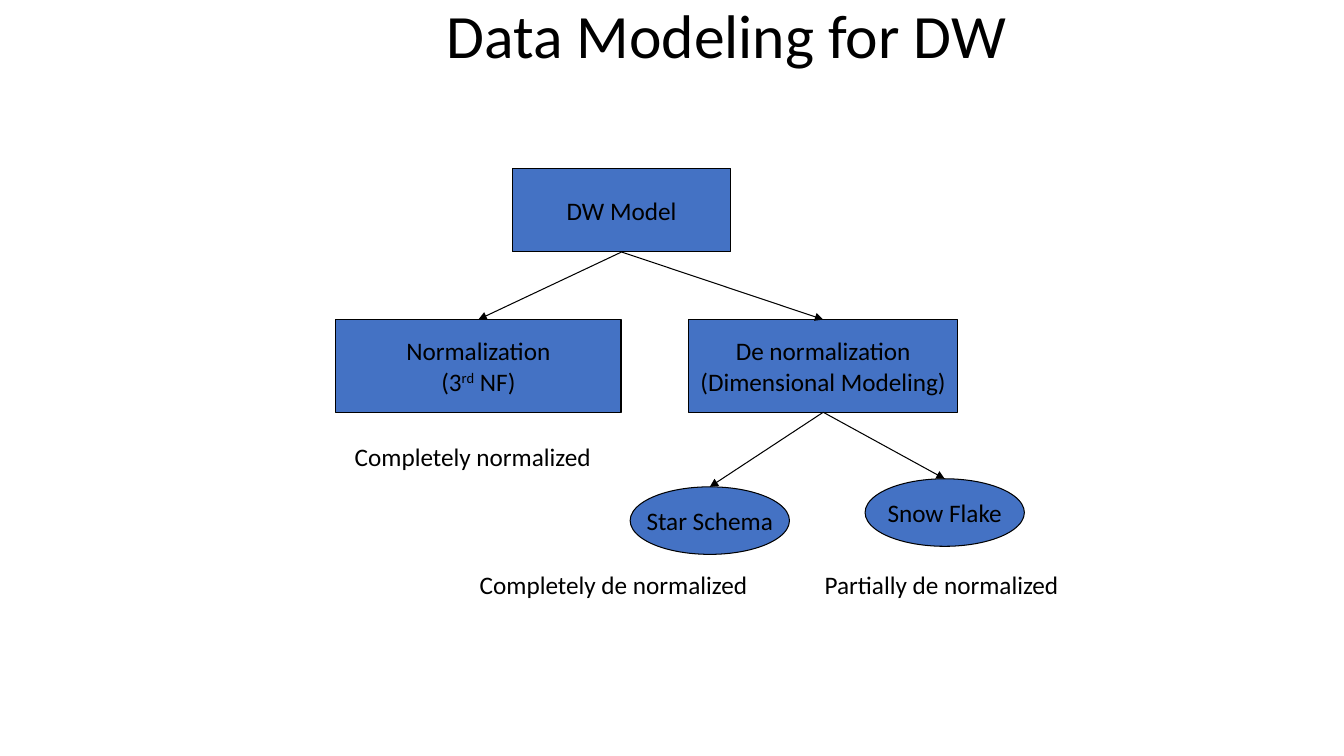
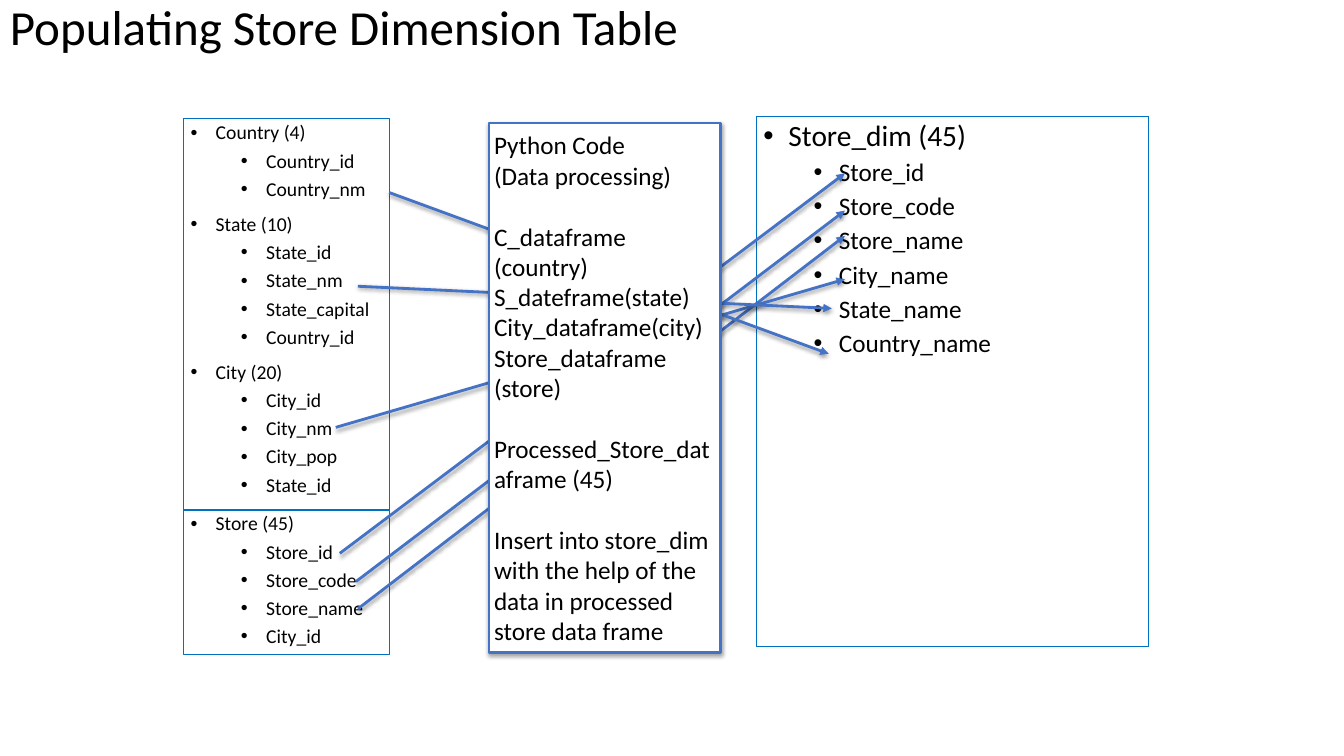
"""Build two slides on data warehouse modeling and store dimension loading."""
from lxml import etree
from pptx import Presentation, util as u
from pptx.dml.color import RGBColor
from pptx.enum import shapes, text
from pptx.oxml.ns import qn

PX = 9144
FONT = "Calibri"
C = {"ink": "000000", "blue": "4472C4", "frame": "0070C0", "paper": "FFFFFF"}
RECT, OVAL = shapes.MSO_SHAPE.RECTANGLE, shapes.MSO_SHAPE.OVAL


def add_text(s, kind, box, paras, size=18, fill=None, line=None, width=0.75):
    """Add a text box, or a preset shape when a kind is given."""
    x, y, w, h = (v * PX for v in box)
    if kind is None:
        sp = s.shapes.add_textbox(x, y, w, h)
    else:
        sp = s.shapes.add_shape(kind, x, y, w, h)
        sp.shadow.inherit = False
        sp.line.color.rgb = RGBColor.from_string(C[line])
        sp.line.width = u.Pt(width)
        if fill:
            sp.fill.solid()
            sp.fill.fore_color.rgb = RGBColor.from_string(C[fill])
        else:
            sp.fill.background()
    tf = sp.text_frame
    tf.word_wrap = False
    tf.vertical_anchor = text.MSO_ANCHOR.MIDDLE if fill else text.MSO_ANCHOR.TOP
    tf.text = "\n".join(paras)
    for p in tf.paragraphs:
        p.alignment = text.PP_ALIGN.CENTER if fill else text.PP_ALIGN.LEFT
        for r in p.runs:
            r.font.name, r.font.size = FONT, u.Pt(size)
            r.font.color.rgb = RGBColor.from_string(C["ink"])
    return sp


def add_arrow(s, start, end, color, width):
    """Add an arrow between two points."""
    pts = [v * PX for v in (*start, *end)]
    cn = s.shapes.add_connector(shapes.MSO_CONNECTOR.STRAIGHT, *pts)
    cn.line.color.rgb = RGBColor.from_string(C[color])
    cn.line.width = u.Pt(width)
    etree.SubElement(cn.line._get_or_add_ln(), qn("a:tailEnd"), type="triangle")
    etree.SubElement(cn._element.spPr, qn("a:effectLst"))
    return cn


prs = Presentation()
prs.slide_width, prs.slide_height = 1333 * PX, 750 * PX
slides = []
for title, box, size in [
    ("Data Modeling for DW", (433, 0, 658, 83), 44),
    ("Populating Store Dimension Table", (0, -2, 1333, 89), 35),
]:
    s = prs.slides.add_slide(prs.slide_layouts[6])
    sp = add_text(s, None, box, [title], size)
    sp.text_frame.paragraphs[0].line_spacing = 0.9
    slides.append(s)
tree, mapping = slides

nodes = {}
for key, kind, box, paras in [
    ("model", RECT, (508, 167, 217, 83), ["DW Model"]),
    ("normal", RECT, (333, 317, 283, 92), ["Normalization", "(3"]),
    ("denormal", RECT, (683, 317, 267, 92),
     ["De normalization", "(Dimensional Modeling)"]),
    ("star", OVAL, (625, 483, 158, 67), ["Star Schema"]),
    ("snow", OVAL, (858, 475, 158, 67), ["Snow Flake"]),
]:
    nodes[key] = add_text(tree, kind, box, paras, fill="blue", line="ink")

p = nodes["normal"].text_frame.paragraphs[1]
for part, base in [("rd", "30000"), (" NF)", "0")]:
    r = p.add_run()
    r.text = part
    r.font.name, r.font.size = FONT, u.Pt(18)
    r.font.color.rgb = RGBColor.from_string(C["ink"])
    r.font._element.set("baseline", base)

for parent, child in [("denormal", "star"), ("denormal", "snow"),
                      ("model", "normal"), ("model", "denormal")]:
    cn = add_arrow(tree, (0, 0), (0, 0), "ink", 0.75)
    cn.begin_connect(nodes[parent], 2)
    cn.end_connect(nodes[child], 0)

for label, box in [
    ("Completely normalized", (342, 433, 257, 40)),
    ("Completely de normalized", (466, 560, 296, 40)),
    ("Partially de normalized", (808, 560, 255, 40)),
]:
    add_text(tree, None, box, [label])

for box, head_size, size, groups in [
    ((182, 118, 204, 388), 14, 14, {
        "Country (4)": ["Country_id", "Country_nm"],
        "State (10)": ["State_id", "State_nm", "State_capital", "Country_id"],
        "City (20)": ["City_id", "City_nm", "City_pop", "State_id"]}),
    ((182, 506, 204, 143), 14, 14, {
        "Store (45)": ["Store_id", "Store_code", "Store_name", "City_id"]}),
    ((750, 116, 389, 525), 21, 18, {
        "Store_dim (45)": ["Store_id", "Store_code", "Store_name",
                           "City_name", "State_name", "Country_name"]}),
]:
    paras = [t for head, fields in groups.items() for t in (head, *fields)]
    sp = add_text(mapping, RECT, box, paras, size, line="frame")
    tf = sp.text_frame
    tf.word_wrap = True
    tf.margin_left = tf.margin_right = 7 * PX
    tf.margin_top = tf.margin_bottom = 4 * PX
    for i, p in enumerate(tf.paragraphs):
        head = p.text in groups
        pPr = p._p.get_or_add_pPr()
        pPr.set("marL", str((25 if head else 75) * PX))
        pPr.set("indent", str(-25 * PX))
        etree.SubElement(pPr, qn("a:buFont"), typeface="Arial")
        etree.SubElement(pPr, qn("a:buChar"), char="•")
        p.level = 0 if head else 1
        p.line_spacing = 0.9
        p.space_before = u.Pt(0 if i == 0 else 10 if head else 5)
        if head:
            p.runs[0].font.size = u.Pt(head_size)

shaded = []
for start, end in [
    ((337, 549), (838, 172)), ((353, 577), (838, 209)),
    ((355, 604), (838, 234)), ((333, 424), (838, 277)),
    ((355, 284), (825, 306)), ((386, 191), (822, 351)),
]:
    shaded.append((add_arrow(mapping, start, end, "blue", 2), 38, 1.6))

steps = ["Python Code", "(Data processing)", "C_dataframe (country)",
         "S_dateframe(state)", "City_dataframe(city)", "Store_dataframe (store)",
         "Processed_Store_dataframe (45)",
         "Insert into store_dim with the help of the data in processed store data frame"]
code = add_text(mapping, RECT, (485, 122, 230, 525), steps,
                fill="paper", line="blue", width=2)
tf = code.text_frame
tf.word_wrap = True
tf.margin_left = tf.margin_right = tf.margin_top = tf.margin_bottom = 5 * PX
for i, p in enumerate(tf.paragraphs):
    p.alignment = text.PP_ALIGN.LEFT
    if i in (2, 6, 7):
        p.space_before = u.Pt(22)
shaded.append((code, 35, 1.8))

for sp, alpha, dist in shaded:
    effects = sp._element.spPr.find(qn("a:effectLst"))
    shadow = etree.SubElement(effects, qn("a:outerShdw"), blurRad=str(u.Pt(3)),
                              dist=str(u.Pt(dist)), dir="5400000", rotWithShape="0")
    color = etree.SubElement(shadow, qn("a:srgbClr"), val=C["ink"])
    etree.SubElement(color, qn("a:alpha"), val=str(alpha * 1000))

prs.save("out.pptx")
